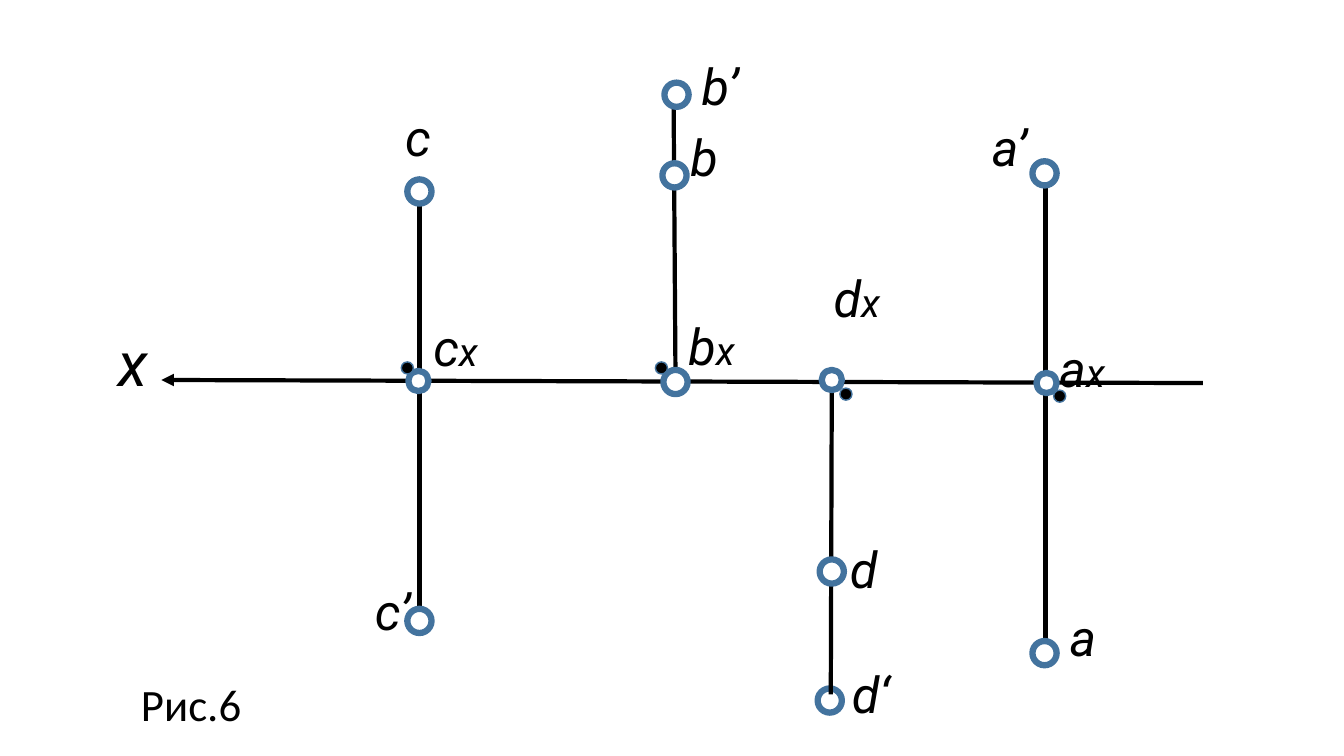
from dataclasses import dataclass

from pptx import Presentation
from pptx.dml.color import RGBColor
from pptx.enum.shapes import MSO_CONNECTOR as Connector, MSO_SHAPE as Preset
from pptx.enum.text import MSO_AUTO_SIZE as AutoSize
from pptx.oxml.ns import qn
from pptx.util import Emu, Pt
from lxml.etree import SubElement

PX = 9144  # 100 px to the inch
BLACK = RGBColor(0x00, 0x00, 0x00)
WHITE = RGBColor(0xFF, 0xFF, 0xFF)
BLUE = RGBColor(0x43, 0x73, 0x9E)
RING = 24
DOT = 12
LABEL_HEIGHT = 71


@dataclass
class PointColumn:
    """One point's projections; lengths are offsets from its foot on the axis."""
    letter: str
    foot: tuple       # x, y on the slide
    foot_size: int
    line: tuple       # x1, y1, x2, y2
    rings: list       # x, y of each centre
    dot: tuple        # x, y of the centre
    foot_label: tuple  # left, top
    labels: list      # text, left, top, width
    rings_below_line: tuple = ()


def px(length):
    return Emu(length * PX)


def add_line(slide, start, end, arrow=False):
    line = slide.shapes.add_connector(
        Connector.STRAIGHT, *(px(value) for value in (*start, *end)))
    line.line.color.rgb = BLACK
    line.line.width = Pt(3)
    if arrow:
        SubElement(line.line._get_or_add_ln(), qn("a:headEnd"), type="triangle")
    SubElement(line._element.spPr, qn("a:effectLst"))


def add_circle(slide, centre, size, fill, line_width):
    left, top = (value - size // 2 for value in centre)
    circle = slide.shapes.add_shape(
        Preset.OVAL, px(left), px(top), px(size), px(size))
    circle.shadow.inherit = False
    circle.fill.solid()
    circle.fill.fore_color.rgb = fill
    circle.line.color.rgb = BLUE
    circle.line.width = Pt(line_width)


def add_label(slide, box, runs, font="Roboto", italic=True, wrap=True):
    label = slide.shapes.add_textbox(*(px(value) for value in box))
    frame = label.text_frame
    frame.word_wrap = wrap
    frame.auto_size = AutoSize.SHAPE_TO_FIT_TEXT
    paragraph = frame.paragraphs[0]
    for text, size in runs:
        run = paragraph.add_run()
        run.text = text
        run.font.name = font
        run.font.size = Pt(size)
        run.font.italic = italic
        run.font.color.rgb = BLACK


def add_axis(slide, box):
    left, top, width, height = box
    add_line(slide, (left, top), (left + width, top + height), arrow=True)
    add_label(slide, (left - 53, top - 60, 49, 84), [("x", 44)], wrap=False)


def add_column(slide, column):
    x, y = column.foot

    def at(offset):
        return x + offset[0], y + offset[1]

    # Connecting line and rings
    for ring in column.rings_below_line:
        add_circle(slide, at(ring), RING, WHITE, 4.5)
    add_line(slide, at(column.line[:2]), at(column.line[2:]))
    for ring in column.rings:
        add_circle(slide, at(ring), RING, WHITE, 4.5)
    add_circle(slide, column.foot, column.foot_size, WHITE, 4.5)

    # Labels and right-angle dot
    for text, left, top, width in column.labels:
        add_label(slide, (*at((left, top)), width, LABEL_HEIGHT), [(text, 36)])
    add_label(slide, (*at(column.foot_label), 73, LABEL_HEIGHT),
              [(column.letter, 36), ("х", 28)])
    add_circle(slide, at(column.dot), DOT, BLACK, 1)


COLUMNS = [
    PointColumn("c", (415, 378), 20, (1, -187, 1, 228),
                [(1, -188), (1, 238)], (-11, -13), (5, -69),
                [("c", -23, -278, 48), ("c’", -53, 193, 59)]),
    PointColumn("b", (670, 379), 24, (-2, -292, 0, 0),
                [(1, -285), (-1, -205)], (-14, -14), (3, -71),
                [("b’", 16, -329, 65), ("b", 5, -259, 65)]),
    PointColumn("d", (825, 377), 20, (0, 1, -1, 312),
                [(0, 190)], (14, 14), (-8, -117),
                [("d", 8, 152, 65), ("d‘", 10, 276, 65)],
                rings_below_line=((-2, 318),)),
    PointColumn("a", (1038, 380), 20, (-1, -193, -1, 269),
                [(-2, -208), (-2, 268)], (13, 13), (3, -51),
                [("a’", -64, -270, 61), ("a", 13, 216, 40)]),
]


def main():
    presentation = Presentation()
    presentation.slide_width = px(1333)
    presentation.slide_height = px(750)
    slide = presentation.slides.add_slide(presentation.slide_layouts[6])

    add_axis(slide, (160, 377, 1033, 3))
    for column in COLUMNS:
        add_column(slide, column)
    # Figure caption
    add_label(slide, (130, 666, 121, 64), [("Рис.6", 32)],
              font="Calibri", italic=False, wrap=False)

    presentation.save("out.pptx")


if __name__ == "__main__":
    main()
